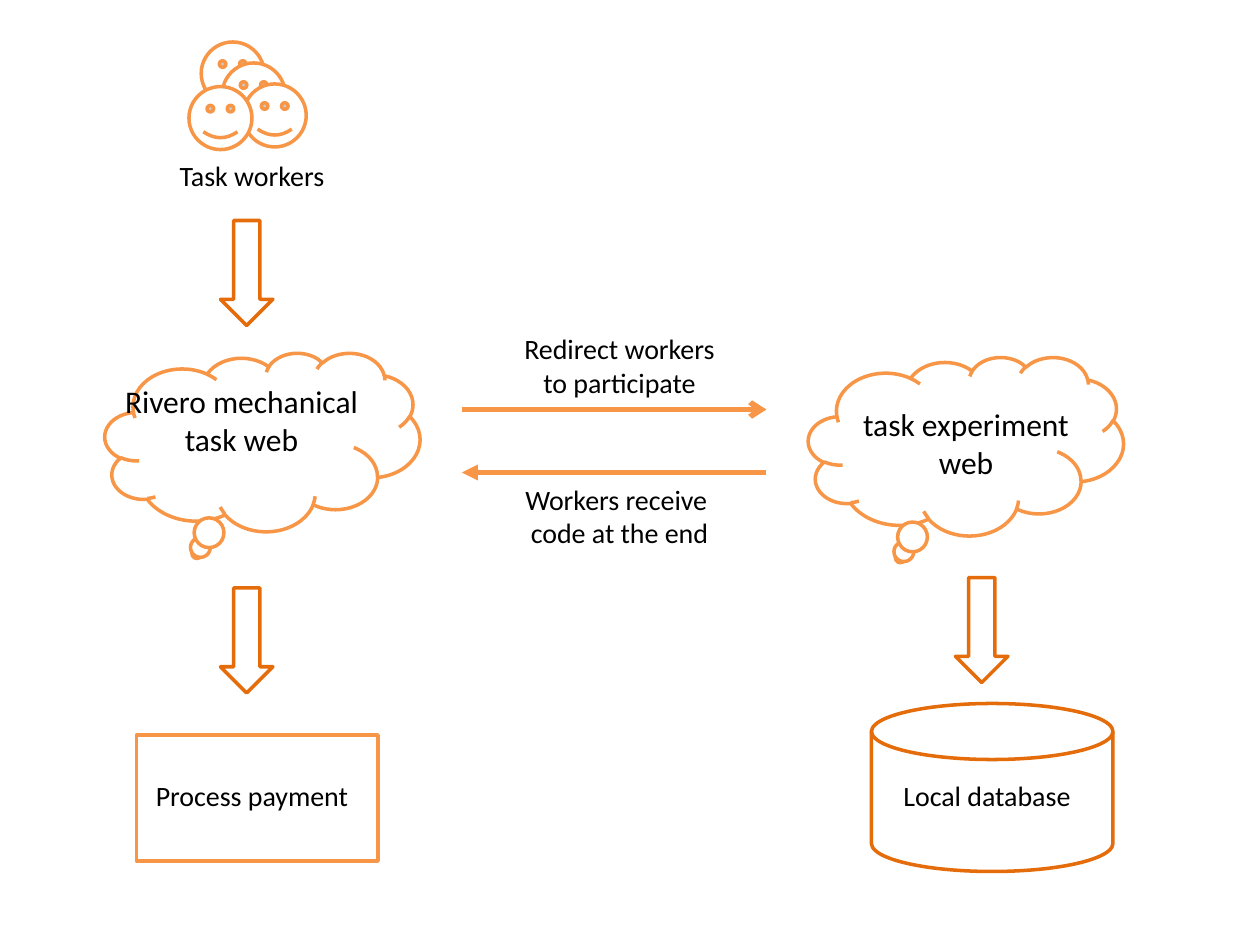
from dataclasses import dataclass

from lxml import etree
from pptx import Presentation
from pptx.dml.color import RGBColor
from pptx.enum.shapes import MSO_CONNECTOR, MSO_SHAPE
from pptx.enum.text import MSO_AUTO_SIZE, PP_ALIGN
from pptx.oxml.ns import qn
from pptx.util import Pt

CLOUD = MSO_SHAPE.CLOUD_CALLOUT
DISK = MSO_SHAPE.FLOWCHART_MAGNETIC_DISK
PROCESS = MSO_SHAPE.FLOWCHART_PROCESS
FACE = MSO_SHAPE.SMILEY_FACE
DOWN = MSO_SHAPE.DOWN_ARROW
STRAIGHT = MSO_CONNECTOR.STRAIGHT
CENTER = PP_ALIGN.CENTER
GROW = MSO_AUTO_SIZE.SHAPE_TO_FIT_TEXT


@dataclass(frozen=True)
class Theme:
    """Colours, font and sizes of the diagram."""
    white: RGBColor = RGBColor(0xFF, 0xFF, 0xFF)
    black: RGBColor = RGBColor(0, 0, 0)
    orange: RGBColor = RGBColor(0xF7, 0x96, 0x46)
    dark: RGBColor = RGBColor(0xE4, 0x6C, 0x0A)
    font: str = "Calibri"
    label: int = 16
    title: int = 18
    outline: int = 2
    flow: int = 3


class Diagram:
    """Draws styled elements on one slide."""

    def __init__(self, slide, theme):
        self.shapes = slide.shapes
        self.theme = theme

    def shape(self, kind, x, y, w, h, line, fill=None):
        sp = self.shapes.add_shape(kind, Pt(x), Pt(y), Pt(w), Pt(h))
        sp.shadow.inherit = False
        if fill is None:
            sp.fill.background()
        else:
            sp.fill.solid()
            sp.fill.fore_color.rgb = fill
        sp.line.color.rgb = line
        sp.line.width = Pt(self.theme.outline)

    def text(self, text, x, y, h, size, w=156):
        tb = self.shapes.add_textbox(Pt(x), Pt(y), Pt(w), Pt(h))
        tf = tb.text_frame
        tf.word_wrap = True
        tf.auto_size = GROW
        tf.text = text
        for p in tf.paragraphs:
            p.alignment = CENTER
            for r in p.runs:
                r.font.name = self.theme.font
                r.font.size = Pt(size)
                r.font.color.rgb = self.theme.black

    def flow(self, x1, x2, y, end, head):
        cx = self.shapes.add_connector(STRAIGHT, Pt(x1), Pt(y), Pt(x2), Pt(y))
        cx.line.color.rgb = self.theme.orange
        cx.line.width = Pt(self.theme.flow)
        ln = cx.line._get_or_add_ln()
        etree.SubElement(ln, qn(f"a:{end}"), type=head)
        etree.SubElement(cx._element.spPr, qn("a:effectLst"))


theme = Theme()
prs = Presentation()
prs.slide_width, prs.slide_height = Pt(720), Pt(540)
d = Diagram(prs.slides.add_slide(prs.slide_layouts[6]), theme)

for x, y, text, tx, ty, th in (
    (60, 201.6, "Rivero mechanical task web", 60, 215, 72.7),
    (462, 204, "task experiment web", 474, 228, 51),
):
    d.shape(CLOUD, x, y, 180, 102, theme.orange, theme.white)
    d.text(text, tx, ty, th, theme.title)

d.flow(264, 438, 234, "tailEnd", "arrow")
d.flow(264, 438, 270, "headEnd", "triangle")
d.text("Redirect workers\nto participate", 276, 186, 46, theme.label)
d.text("Workers receive \ncode at the end", 276, 272, 46, theme.label)

d.shape(DISK, 498, 402, 138, 96, theme.dark)
d.text("Local database", 486, 441.6, 26.6, theme.label)
d.shape(PROCESS, 78, 420, 138, 72, theme.orange, theme.white)
d.text("Process payment", 66, 441.6, 26.6, theme.label)

for x, y in ((115, 24), (127, 36), (139, 48), (108, 49.5)):
    d.shape(FACE, x, y, 36, 36, theme.orange, theme.white)
d.text("Task workers", 66, 87, 26.6, theme.label)

for x, y in ((126, 126), (126, 336), (546, 330)):
    d.shape(DOWN, x, y, 30, 60, theme.dark)

prs.save("out.pptx")
